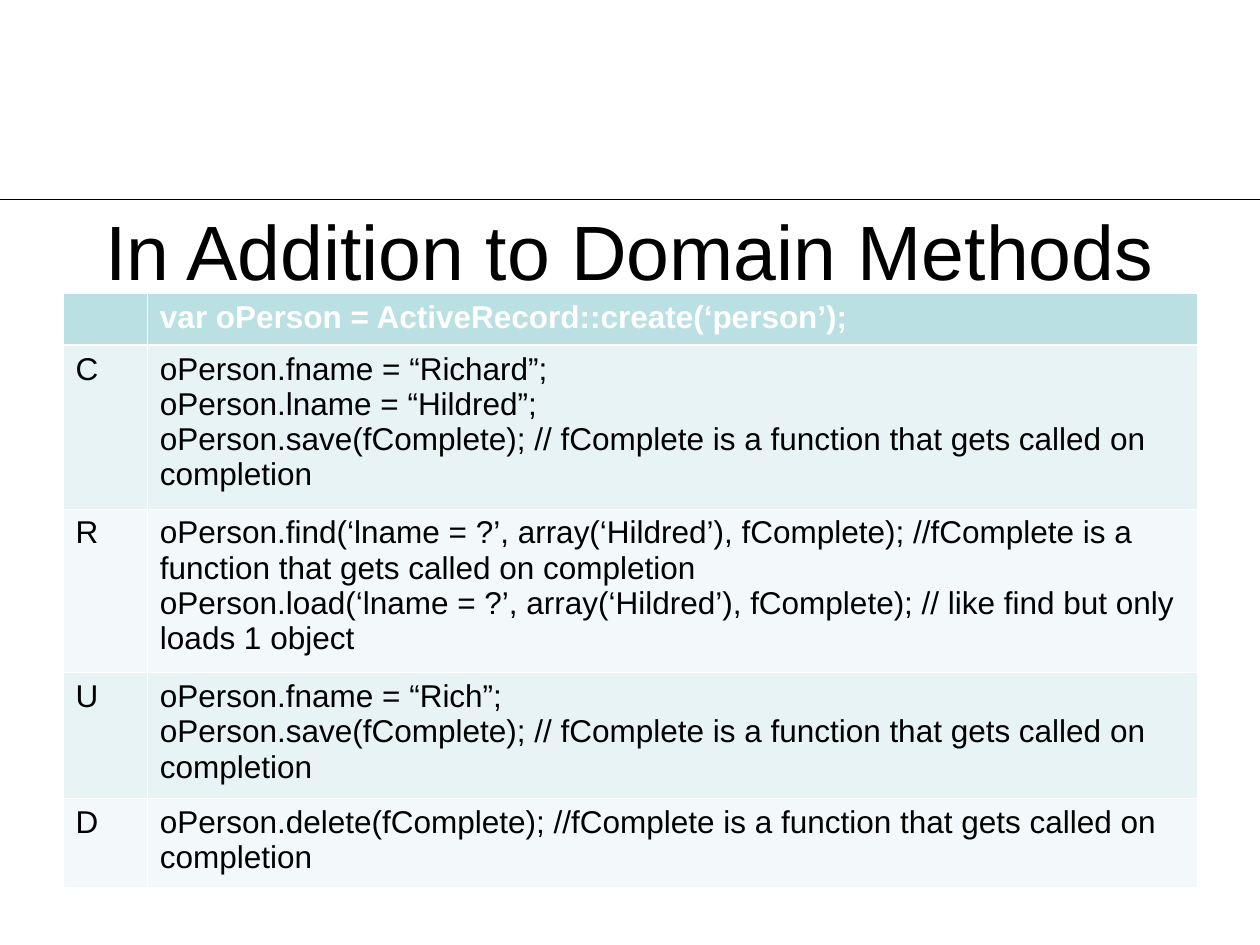
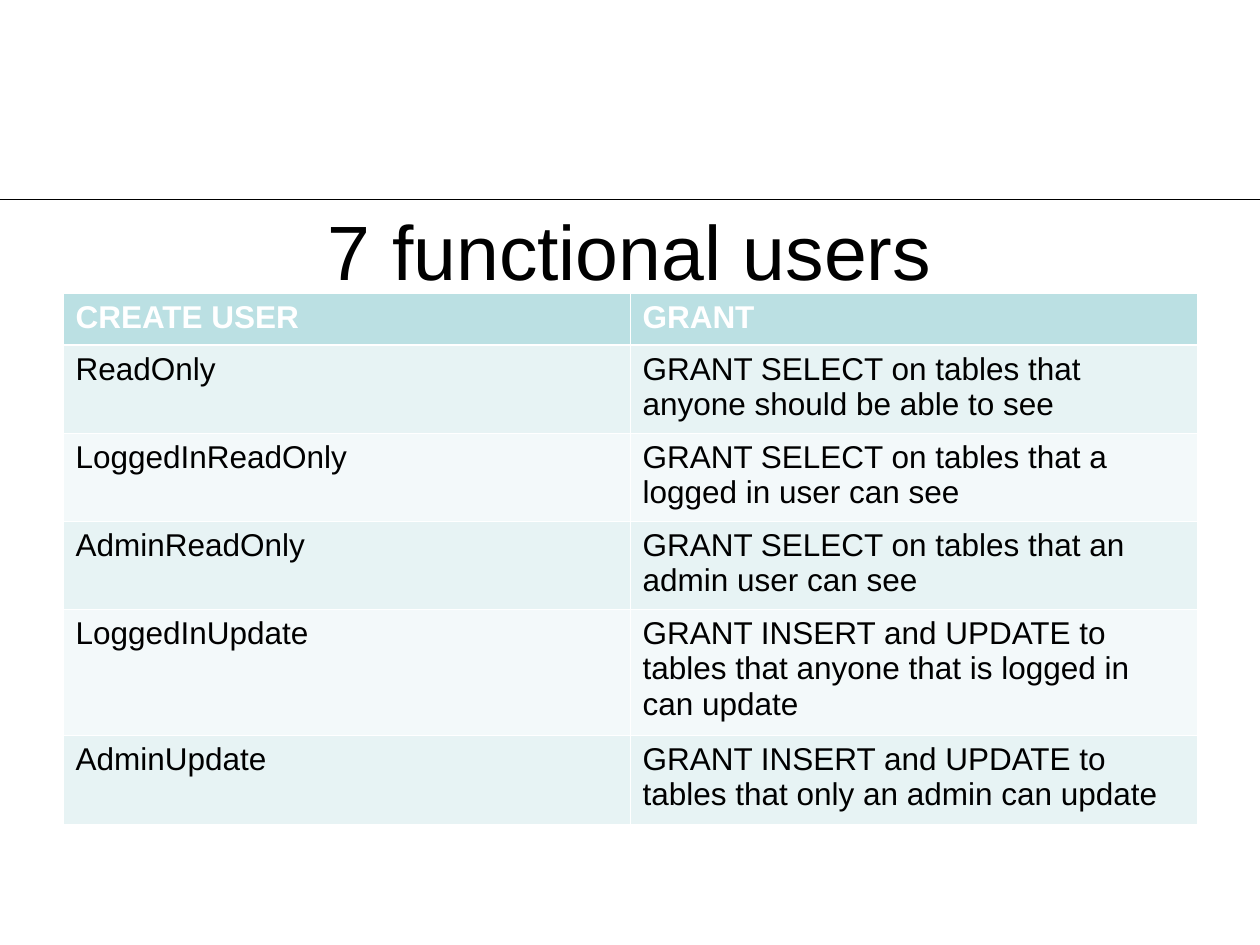
from dataclasses import dataclass

from lxml.etree import SubElement as Sub
from pptx import Presentation
from pptx.dml.color import RGBColor as RGB
from pptx.enum.text import MSO_ANCHOR as Anchor, PP_ALIGN as Align
from pptx.oxml import parse_xml
from pptx.oxml.ns import nsdecls, qn
from pptx.util import Inches, Pt


@dataclass(frozen=True)
class Theme:
    """Colours, type sizes, line widths and boxes of the deck."""
    font: str = "Arial"
    ink: str = "000000"
    white: str = "FFFFFF"
    head: str = "BBE0E3"
    bands: tuple = ("E7F3F4", "F3F9FA")
    title: int = 44
    text: int = 18
    thin: float = 0.45
    thick: float = 1.47
    rule: float = 0.25
    rule_y: float = 1.58
    title_box: tuple = (0.5, 1.67, 9, 0.62)
    grid_box: tuple = (0.5, 2.33, 9)


T = Theme()
SAVE = "oPerson.save(fComplete); // fComplete is a function that gets called on completion"

CRUD = {
    "cols": (0.67, 8.33),
    "highs": (0.41, 1.3, 1.3, 1, 0.7),
    "rows": (
        ("", "var oPerson = ActiveRecord::create(‘person’);"),
        ("C", f"oPerson.fname = “Richard”;\noPerson.lname = “Hildred”;\n{SAVE}"),
        ("R", "oPerson.find(‘lname = ?’, array(‘Hildred’), fComplete); "
              "//fComplete is a function that gets called on completion\n"
              "oPerson.load(‘lname = ?’, array(‘Hildred’), fComplete); "
              "// like find but only loads 1 object"),
        ("U", f"oPerson.fname = “Rich”;\n{SAVE}"),
        ("D", "oPerson.delete(fComplete); "
              "//fComplete is a function that gets called on completion"),
    ),
}

USERS = {
    "cols": (4.5, 4.5),
    "highs": (0.41, 0.7, 0.7, 0.7, 1, 0.7),
    "rows": (
        ("CREATE USER", "GRANT"),
        ("ReadOnly", "GRANT SELECT on tables that anyone should be able to see"),
        ("LoggedInReadOnly", "GRANT SELECT on tables that a logged in user can see"),
        ("AdminReadOnly", "GRANT SELECT on tables that an admin user can see"),
        ("LoggedInUpdate", "GRANT INSERT and UPDATE to tables that anyone "
                           "that is logged in can update"),
        ("AdminUpdate", "GRANT INSERT and UPDATE to tables that only an admin can update"),
    ),
}


def put(item, **vals):
    """Set each given attribute on the item."""
    for name, val in vals.items():
        setattr(item, name, val)


def style(frame, size, color, bold=False, align=Align.LEFT):
    """Format every paragraph of a text frame."""
    for para in frame.paragraphs:
        para.alignment = align
        put(para.font, name=T.font, size=Pt(size), bold=bold)
        para.font.color.rgb = RGB.from_string(color)


def add_rule(slide, width):
    """Draw the hairline and hand it to the shared layout."""
    y = Inches(T.rule_y)
    line = slide.shapes.add_connector(1, 0, y, width, y)
    line.line.color.rgb = RGB.from_string(T.ink)
    line.line.width = Pt(T.rule)
    Sub(line.element.spPr, qn("a:effectLst"))
    slide.slide_layout.shapes.element.append(line.element)


def add_title(slide, text, box):
    """Fill and place the title."""
    title = slide.shapes.title
    put(title, **dict(zip(("left", "top", "width", "height"), map(Inches, box))))
    frame = title.text_frame
    put(frame, text=text, word_wrap=True, vertical_anchor=Anchor.MIDDLE)
    style(frame, T.title, T.ink, align=Align.CENTER)


def edge(cell, top, base):
    """Give a cell white borders with the given top and base widths."""
    props = cell._tc.get_or_add_tcPr()
    sides = {"L": T.thin, "R": T.thin, "T": top, "B": base}
    for i, (side, wide) in enumerate(sides.items()):
        props.insert(i, parse_xml(
            f'<a:ln{side} {nsdecls("a")} w="{Pt(wide)}"><a:solidFill>'
            f'<a:srgbClr val="{T.white}"/></a:solidFill></a:ln{side}>'))


def add_grid(slide, box, cols, highs, rows):
    """Build a banded table with a bold head row."""
    left, top, width = map(Inches, box)
    shape = slide.shapes.add_table(len(rows), len(cols), left, top, width, Inches(sum(highs)))
    grid = shape.table
    for col, wide in zip(grid.columns, cols):
        col.width = Inches(wide)
    for r, (row, high) in enumerate(zip(rows, highs)):
        grid.rows[r].height = Inches(high)
        head = r == 0
        fill = T.head if head else T.bands[(r - 1) % 2]
        for c, text in enumerate(row):
            cell = grid.cell(r, c)
            cell.text = text
            style(cell.text_frame, T.text, T.white if head else T.ink, head)
            cell.fill.solid()
            cell.fill.fore_color.rgb = RGB.from_string(fill)
            edge(cell, T.thick if r == 1 else T.thin, T.thick if head else T.thin)


def main():
    """Build and save the deck."""
    deck = Presentation()
    put(deck, slide_width=Inches(10), slide_height=Inches(7.5))
    pages = {"In Addition to Domain Methods": CRUD, "7 functional users": USERS}
    for text, data in pages.items():
        slide = deck.slides.add_slide(deck.slide_layouts[5])
        add_title(slide, text, T.title_box)
        add_grid(slide, T.grid_box, **data)
    add_rule(slide, deck.slide_width)
    deck.save("out.pptx")


if __name__ == "__main__":
    main()
